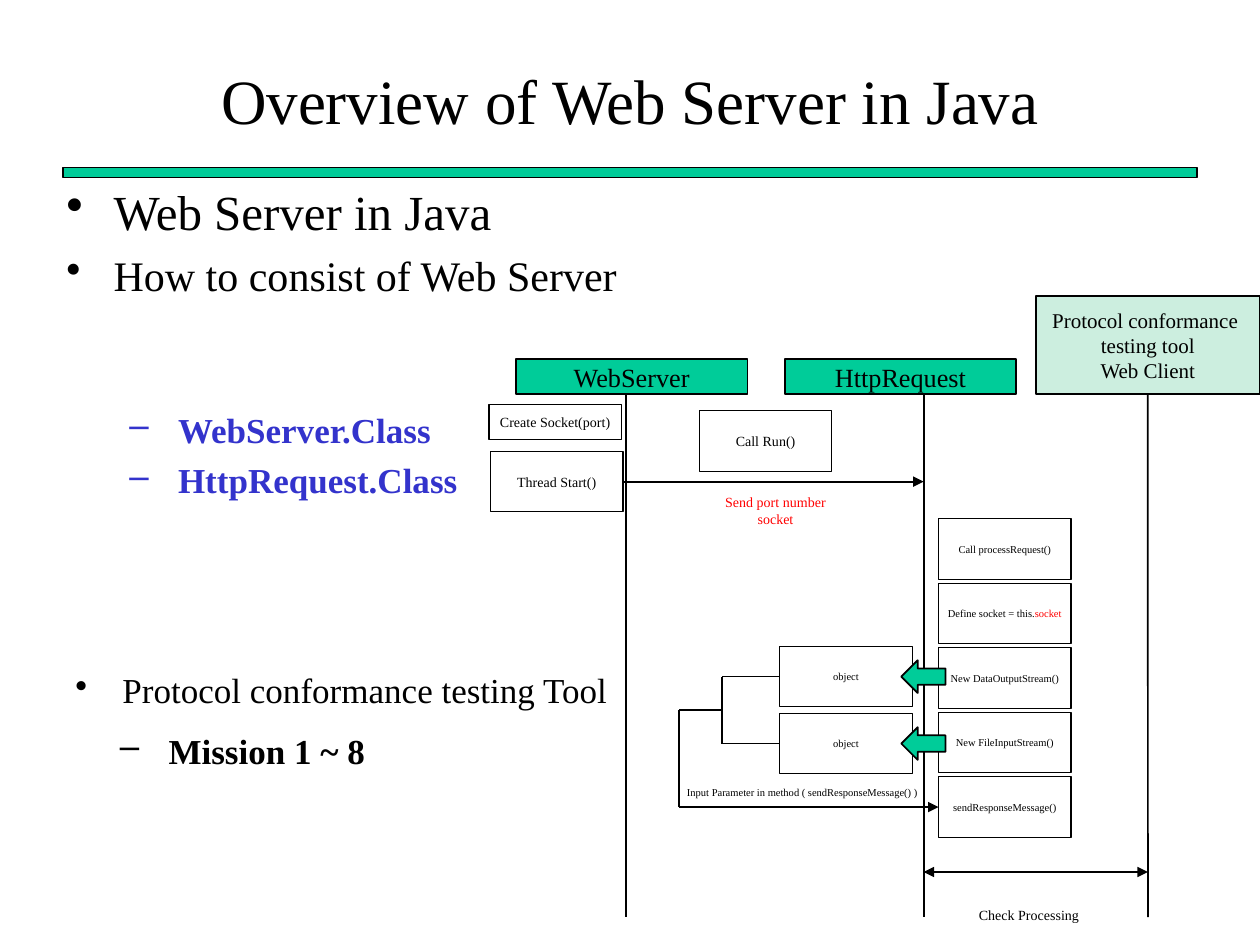
from collections import namedtuple
from dataclasses import dataclass

from lxml.etree import SubElement
from pptx import Presentation
from pptx.dml.color import RGBColor as RGB
from pptx.enum.shapes import MSO_CONNECTOR as Link, MSO_SHAPE as Shape
from pptx.enum.text import MSO_ANCHOR as Anchor, PP_ALIGN as Align
from pptx.oxml.ns import qn
from pptx.util import Cm, Pt


@dataclass(frozen=True)
class Theme:
    """Colours, font and type sizes of the slide."""
    font: str = "Times New Roman"
    ink: str = "000000"
    paper: str = "FFFFFF"
    green: str = "00CC99"
    mint: str = "CCEEDF"
    blue: str = "3333CC"
    red: str = "FF0000"
    title: float = 36
    top: float = 28
    point: float = 24
    sub: float = 20
    lane: float = 15
    tool: float = 12
    call: float = 8
    tiny: float = 6


T = Theme()
Box = namedtuple("Box", "x y w h")
CELL = (2.67, 1.22)


def inside(box, x, y, w, h):
    """Return a box placed relative to another one."""
    return Box(box.x + x, box.y + y, w, h)


def write(frame, text, size=T.call, color=T.ink, bold=False, align=Align.CENTER,
          mark=None, level=0, left=0, hang=0, before=0, first=True):
    """Write one paragraph; text is a string or a list of (text, colour) runs."""
    par = frame.paragraphs[0] if first else frame.add_paragraph()
    par.alignment, par.level = align, level
    par.space_before = Pt(before)
    runs = [(text, color)] if isinstance(text, str) else text
    for part, tint in runs:
        run = par.add_run()
        run.text = part
        run.font.name, run.font.size, run.font.bold = T.font, Pt(size), bold
        run.font.color.rgb = RGB.from_string(tint)
    if mark:
        props = par._p.get_or_add_pPr()
        props.set("marL", str(Cm(left)))
        props.set("indent", str(-Cm(hang)))
        SubElement(props, qn("a:buChar")).set("char", mark)


def bullet(frame, text, size, level=0, **form):
    """Write a bullet of the first or second level."""
    form = {"before": round(size * 0.23, 1), **form}
    left, hang, mark = [(0.95, 0.95, "•"), (2.25, 0.98, "–")][level]
    write(frame, text, size=size, level=level, align=Align.LEFT,
          mark=mark, left=left, hang=hang, **form)


def area(slide, box, anchor=Anchor.TOP, wrap=True):
    """Add a text box and return its frame."""
    frame = slide.shapes.add_textbox(*map(Cm, box)).text_frame
    frame.word_wrap, frame.vertical_anchor = wrap, anchor
    return frame


def block(slide, box, lines=(), fill=T.paper, line=T.ink, width=0.75,
          kind=Shape.RECTANGLE, **form):
    """Add a filled shape with centred lines of text."""
    shape = slide.shapes.add_shape(kind, *map(Cm, box))
    shape.shadow.inherit = False
    shape.fill.solid()
    shape.fill.fore_color.rgb = RGB.from_string(fill)
    shape.line.color.rgb = RGB.from_string(line)
    shape.line.width = Pt(width)
    frame = shape.text_frame
    frame.word_wrap, frame.vertical_anchor = False, Anchor.MIDDLE
    for i, text in enumerate(lines):
        write(frame, text, first=i == 0, **form)
    return shape


def wire(slide, box, start, end, tips=(), source=None, target=None):
    """Draw a line; source and target are (shape, side) joints."""
    (x1, y1), (x2, y2) = start, end
    ends = (box.x + x1, box.y + y1, box.x + x2, box.y + y2)
    line = slide.shapes.add_connector(Link.STRAIGHT, *map(Cm, ends))
    line.line.color.rgb = RGB.from_string(T.ink)
    line.line.width = Pt(1)
    if source:
        line.begin_connect(*source)
    if target:
        line.end_connect(*target)
    for tip in tips:
        SubElement(line.line._get_or_add_ln(), qn(f"a:{tip}")).set("type", "triangle")
    SubElement(line._element.spPr, qn("a:effectLst"))


def header(slide, box):
    """Place the title above its green rule."""
    block(slide, inside(box, 0, 2.54, box.w, 0.2), fill=T.green)
    frame = area(slide, inside(box, 0, 0, box.w, 2.34), Anchor.MIDDLE)
    write(frame, "Overview of Web Server in Java", size=T.title)


def outline(slide, box):
    """Place the bullets on the left."""
    frame = area(slide, inside(box, 0.19, 0, box.w, 6.8))
    bullet(frame, "Web Server in Java", T.top)
    bullet(frame, "How to consist of Web Server", T.point, first=False)
    bullet(frame, "WebServer.Class", T.sub, 1, color=T.blue, bold=True,
           before=62, first=False)
    bullet(frame, "HttpRequest.Class", T.sub, 1, color=T.blue, bold=True, first=False)
    frame = area(slide, inside(box, 0.37, 9.83, 11.6, 1.2))
    bullet(frame, "Protocol conformance testing Tool", T.sub, before=0)
    frame = area(slide, inside(box, 0, 11.05, box.w, 1.3))
    bullet(frame, "Mission 1 ~ 8", T.sub, 1, bold=True)


def lanes(slide, box):
    """Place the three lane heads, their lifelines and the closing check."""
    for name, x in (("WebServer", 0), ("HttpRequest", 5.42)):
        block(slide, inside(box, x, 1.27, 4.67, 0.71), [name], fill=T.green,
              width=1, size=T.lane)
    tool = block(slide, inside(box, 10.48, 0, 4.52, 1.98),
                 ["Protocol conformance ", "testing tool", "Web Client"],
                 fill=T.mint, width=1, size=T.tool)
    web, http, client = 2.22, 8.22, 12.74
    for x, joint in ((web, None), (http, None), (client, (tool, 2))):
        wire(slide, box, (x, 2), (x, box.h), source=joint)
    wire(slide, box, (http, 11.61), (client, 11.61), ("headEnd", "tailEnd"))
    block(slide, inside(box, 9.01, 11.89, 2.67, 1.18), ["Check Processing"],
          line=T.paper)


def calls(slide, box):
    """Place the start-up calls and the message between the lanes."""
    block(slide, inside(box, 0, 0, CELL[0], 0.71), ["Create Socket(port)"])
    start = block(slide, inside(box, 0.03, 0.95, *CELL), ["Thread Start()"])
    block(slide, inside(box, 4.24, 0.13, *CELL), ["Call Run()"])
    block(slide, inside(box, 4.44, 1.86, CELL[0], 0.56),
          ["Send port number", "socket"], line=T.paper, color=T.red)
    wire(slide, box, (2.7, 1.56), (box.w, 1.56), ("tailEnd",), source=(start, 3))


def streams(slide, box):
    """Place the request steps, the stream objects and their feedback path."""
    steps = ["Call processRequest()",
             [("Define socket = this.", T.ink), ("socket", T.red)],
             "New DataOutputStream()", "New FileInputStream()",
             "sendResponseMessage()"]
    for i, step in enumerate(steps):
        last = block(slide, inside(box, 5.32, 1.3 * i, *CELL), [step], size=T.tiny)
    fork, feed, half = 0.95, 0.09, CELL[1] / 2
    mids = [2.57 + half + 1.35 * i for i in range(2)]
    for mid in mids:
        item = block(slide, inside(box, 2.12, mid - half, *CELL), ["object"],
                     size=T.tiny)
        block(slide, inside(box, 4.57, mid - 0.33, 0.89, 0.66), fill=T.green,
              width=1, kind=Shape.LEFT_ARROW)
        wire(slide, box, (2.12, mid), (fork, mid), source=(item, 1))
    centre, low = sum(mids) / 2, 5.2 + half
    wire(slide, box, (fork, mids[0]), (fork, mids[1]))
    wire(slide, box, (fork, centre), (feed, centre))
    wire(slide, box, (feed, centre), (feed, low))
    wire(slide, box, (feed, low), (5.32, low), ("tailEnd",), target=(last, 1))
    frame = area(slide, inside(box, 0, 5.26, 5.18, 0.6), wrap=False)
    write(frame, "Input Parameter in method ( sendResponseMessage() )",
          size=T.tiny, align=Align.LEFT)


def main():
    """Build the slide and save it."""
    deck = Presentation()
    deck.slide_width, deck.slide_height = Cm(25.4), Cm(19.05)
    slide = deck.slides.add_slide(deck.slide_layouts[6])
    header(slide, Box(1.27, 0.84, 22.86, 2.74))
    outline(slide, Box(0.9, 3.53, 14.25, 12.4))
    lanes(slide, Box(10.4, 5.97, 15, 12.52))
    calls(slide, Box(9.86, 8.15, 8.76, 2.5))
    streams(slide, Box(13.6, 10.46, 8, 6.42))
    deck.save("out.pptx")


if __name__ == "__main__":
    main()
